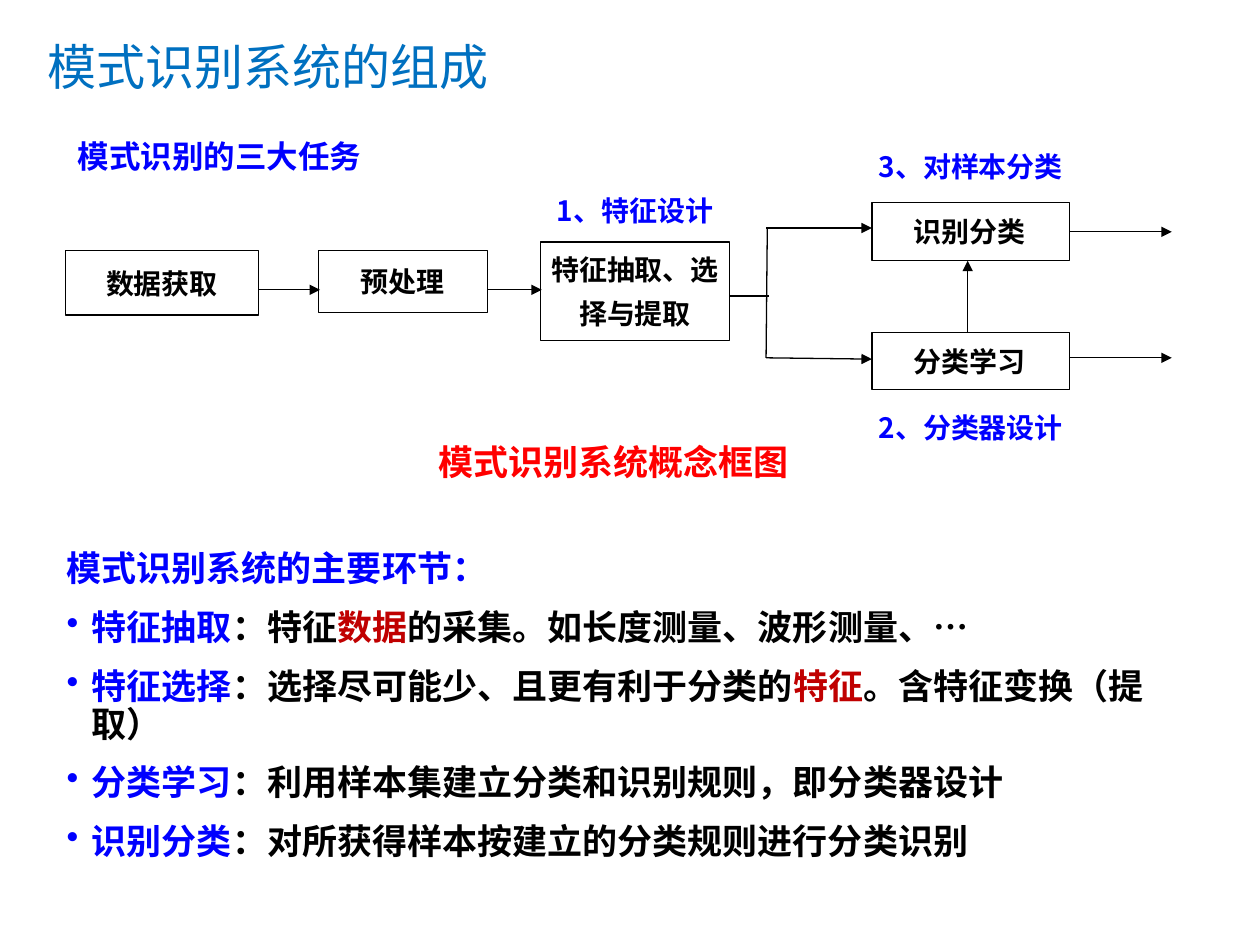
from lxml import etree
from pptx import Presentation
from pptx.dml.color import RGBColor
from pptx.enum import shapes, text
from pptx.oxml import ns
from pptx.util import Inches, Pt

COLORS = {"title": "0070C0", "blue": "0000FF", "black": "000000",
          "red": "FF0000", "accent": "C00000"}
MONO, SANS = "DejaVu Sans Mono", "Noto Sans CJK SC"
TIGHT = (0, 0, 0, 0.08)
NORMAL = (0.1, 0.05, 0.1, 0.05)
CENTER, LEFT = text.PP_ALIGN.CENTER, text.PP_ALIGN.LEFT

TITLE = "模式识别系统的组成"
TASKS = "模式识别的三大任务"
CAPTION = "模式识别系统概念框图"
LABELS = [("1、特征设计", (4.3, 1.46, 1.48, 0.43)),
          ("2、分类器设计", (6.92, 3.18, 1.57, 0.43)),
          ("3、对样本分类", (6.92, 1.11, 1.57, 0.43))]
# text, position, first-line indent (None = centred), wrap
STEPS = [("数据获取", (0.52, 1.99, 1.53, 0.51), None, False),
         ("预处理", (2.53, 1.99, 1.34, 0.49), 0.33, False),
         ("特征抽取、选择与提取", (4.29, 1.92, 1.5, 0.78), None, True),
         ("识别分类", (6.92, 1.61, 1.57, 0.46), 0.33, True),
         ("分类学习", (6.92, 2.64, 1.57, 0.45), 0.33, True)]
ARROWS = [((2.05, 2.3), (2.54, 2.3)), ((3.87, 2.3), (4.3, 2.3)),
          ((6.08, 1.81), (6.92, 1.81)), ((6.08, 2.84), (6.92, 2.85)),
          ((7.68, 2.64), (7.68, 2.07)), ((8.49, 2.84), (9.3, 2.84))]
BRANCH_LINES = [((5.79, 2.35), (6.1, 2.35)), ((6.09, 1.81), (6.08, 2.84))]
OUTPUT_ARROW = ((8.49, 1.84), (9.3, 1.84))

HEADING = "模式识别系统的主要环节："
STAGES = [
    [("特征抽取", "blue"), ("：特征", "black"), ("数据", "accent"),
     ("的采集。如长度测量、波形测量、…", "black")],
    [("特征选择", "blue"), ("：选择尽可能少、且更有利于分类的", "black"),
     ("特征", "accent"), ("。含特征变换（提取）", "black")],
    [("分类学习", "blue"), ("：利用样本集建立分类和识别规则，即分类器设计", "black")],
    [("识别分类", "blue"), ("：对所获得样本按建立的分类规则进行分类识别", "black")],
]


def color(name):
    return RGBColor.from_string(COLORS[name])


def add_run(para, words, size, font, tint, bold=True):
    span = para.add_run()
    span.text = words
    span.font.size = Pt(size)
    span.font.name = font
    span.font.bold = bold
    span.font.color.rgb = color(tint)
    east_asian = etree.SubElement(span.font._element, ns.qn("a:ea"))
    east_asian.set("typeface", SANS)


def set_indent(para, left, first):
    props = para._p.get_or_add_pPr()
    props.set("marL", str(Inches(left)))
    props.set("indent", str(Inches(first)))
    return props


def set_frame(box, insets=NORMAL, wrap=True, middle=False):
    frame = box.text_frame
    (frame.margin_left, frame.margin_top,
     frame.margin_right, frame.margin_bottom) = map(Inches, insets)
    frame.word_wrap = wrap
    frame.vertical_anchor = (text.MSO_ANCHOR.MIDDLE if middle
                             else text.MSO_ANCHOR.TOP)
    return frame


def add_text(page, place, **frame_options):
    box = page.shapes.add_textbox(*map(Inches, place))
    return set_frame(box, **frame_options)


def add_step(page, words, place, indent, wrap):
    box = page.shapes.add_shape(shapes.MSO_SHAPE.FLOWCHART_PROCESS,
                                *map(Inches, place))
    box.shadow.inherit = False
    box.fill.background()
    box.line.color.rgb = color("black")
    box.line.width = Pt(0.75)
    para = set_frame(box, TIGHT, wrap, middle=True).paragraphs[0]
    para.line_spacing = 1.3
    para.alignment = CENTER if indent is None else LEFT
    if indent is not None:
        set_indent(para, 0, indent)
    add_run(para, words, 16, MONO, "black")
    return box


def add_line(page, start, end, arrow=True):
    line = page.shapes.add_connector(shapes.MSO_CONNECTOR.STRAIGHT,
                                     *map(Inches, start + end))
    line.line.color.rgb = color("black")
    line.line.width = Pt(0.75)
    if arrow:
        tip = etree.SubElement(line.line._get_or_add_ln(), ns.qn("a:tailEnd"))
        tip.set("type", "triangle")
    etree.SubElement(line._element.spPr, ns.qn("a:effectLst"))
    return line


def add_stages(page):
    frame = add_text(page, (0.43, 4.4, 9.3, 2.42), middle=True)
    para = frame.paragraphs[0]
    para.line_spacing = 0.9
    set_indent(para, 2.55, -2.55)
    add_run(para, HEADING, 20, SANS, "blue")
    for spans in STAGES:
        para = frame.add_paragraph()
        para.line_spacing = 0.9
        para.space_before = Pt(12)
        props = set_indent(para, 0.2, -0.2)
        etree.SubElement(props, ns.qn("a:buChar")).set("char", "•")
        tabs = etree.SubElement(props, ns.qn("a:tabLst"))
        etree.SubElement(tabs, ns.qn("a:tab"), pos=str(Inches(0.2)), algn="l")
        for words, tint in spans:
            add_run(para, words, 20, SANS, tint)


def main():
    deck = Presentation()
    deck.slide_width, deck.slide_height = Inches(10), Inches(7.5)
    page = deck.slides.add_slide(deck.slide_layouts[6])

    title = add_text(page, (0.28, 0.21, 9.45, 0.63), middle=True)
    add_run(title.paragraphs[0], TITLE, 28, MONO, "title", bold=False)
    tasks = add_text(page, (0.52, 1.04, 2.47, 0.4), wrap=False)
    add_run(tasks.paragraphs[0], TASKS, 18, SANS, "blue")

    for words, place in LABELS:
        para = add_text(page, place, insets=TIGHT).paragraphs[0]
        para.alignment = CENTER
        para.line_spacing = 1.3
        add_run(para, words, 16, SANS, "blue")

    boxes = {step[0]: add_step(page, *step) for step in STEPS}
    for start, end in ARROWS:
        add_line(page, start, end)
    for start, end in BRANCH_LINES:
        add_line(page, start, end, arrow=False)
    add_line(page, *OUTPUT_ARROW).begin_connect(boxes["识别分类"], 3)

    caption = add_text(page, (3.48, 3.49, 2.9, 0.34), insets=(0, 0, 0, 0),
                       wrap=False, middle=True)
    add_run(caption.paragraphs[0], CAPTION, 20, MONO, "red")
    add_stages(page)
    deck.save("out.pptx")


if __name__ == "__main__":
    main()
